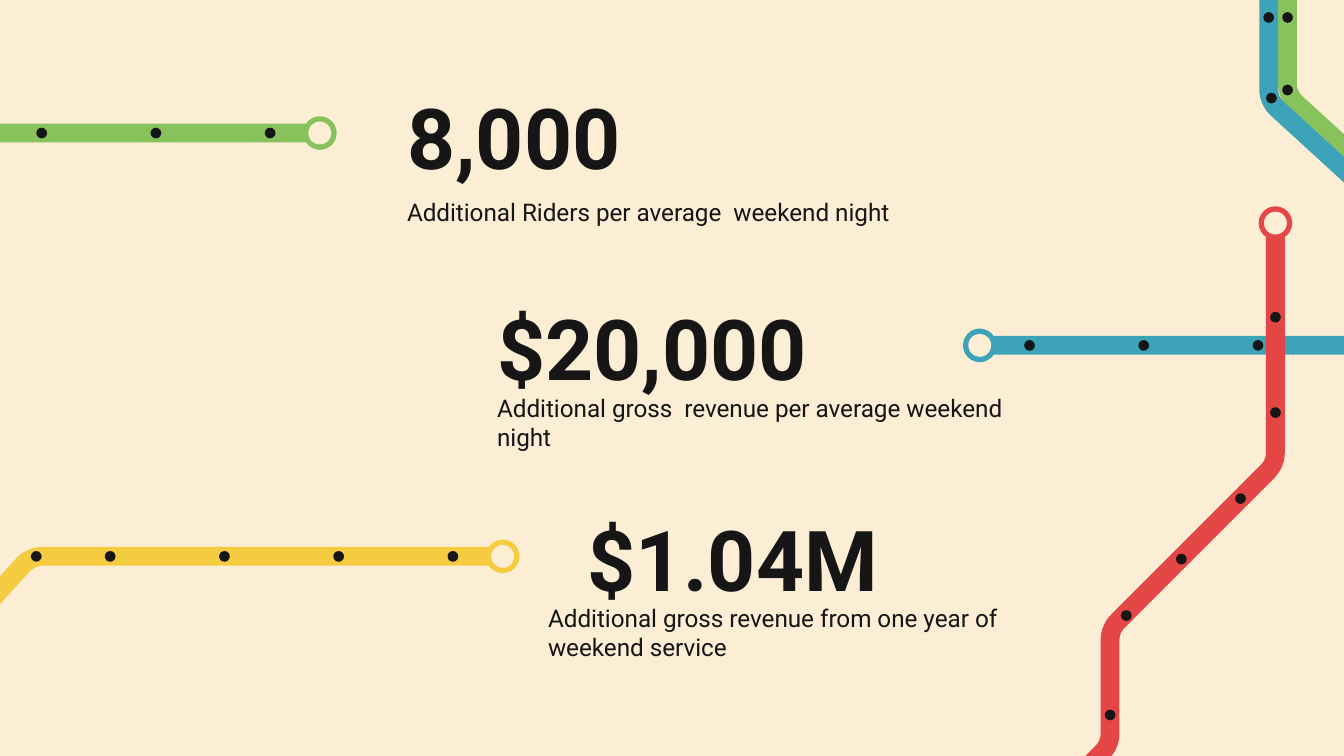
import math
from dataclasses import dataclass

import pptx
import pptx.dml.color
import pptx.enum.shapes
import pptx.enum.text
import pptx.util

Inches = pptx.util.Inches
Point = tuple[float, float]

SLIDE_W = 10
SLIDE_H = SLIDE_W * 9 / 16
CREAM, INK = "FCEDD5", "161616"
GREEN, BLUE, YELLOW, RED = "88C25D", "3CA3B8", "F5CC3F", "E44646"
FONT = "Roboto"
TRACK_W, BEND_R = 0.14, 0.2
DOT, RING, HOLE = 0.08, 0.25, 0.17
STOP_GAP = 0.85


@dataclass
class Track:
    color: str
    route: list[Point]
    stops: list[Point]
    terminus: Point | None = None


@dataclass
class Stat:
    value: str
    value_at: Point
    label: str
    label_at: Point
    label_w: float = 4.29


def rgb(color: str) -> pptx.dml.color.RGBColor:
    return pptx.dml.color.RGBColor.from_string(color)


def paint(sp, color: str) -> None:
    sp.fill.solid()
    sp.fill.fore_color.rgb = rgb(color)
    sp.line.fill.background()
    sp.shadow.inherit = False


def add_disc(shapes, center: Point, size: float, color: str) -> None:
    x, y = center
    sp = shapes.add_shape(pptx.enum.shapes.MSO_SHAPE.OVAL, Inches(x - size / 2),
                          Inches(y - size / 2), Inches(size), Inches(size))
    paint(sp, color)


def track_edges(route: list[Point]) -> tuple[list[Point], list[Point]]:
    """Both edges of a constant-width track with rounded bends."""
    half = TRACK_W / 2
    angles = [math.atan2(y2 - y1, x2 - x1)
              for (x1, y1), (x2, y2) in zip(route, route[1:])]
    samples = [(*route[0], angles[0])]
    for (x, y), a1, a2 in zip(route[1:], angles, angles[1:]):
        # Turn the short way round
        turn = math.remainder(a2 - a1, math.tau)
        side = math.copysign(BEND_R, turn)
        tangent = BEND_R * math.tan(abs(turn) / 2)
        # Centre of the bend
        cx = x - tangent * math.cos(a1) - side * math.sin(a1)
        cy = y - tangent * math.sin(a1) + side * math.cos(a1)
        for step in range(9):
            a = a1 + turn * step / 8
            samples.append((cx + side * math.sin(a), cy - side * math.cos(a), a))
    samples.append((*route[-1], angles[-1]))
    left = [(x + half * math.sin(a), y - half * math.cos(a)) for x, y, a in samples]
    right = [(x - half * math.sin(a), y + half * math.cos(a)) for x, y, a in samples]
    return left, right


def add_track(slide, track: Track) -> None:
    shapes = slide.shapes.add_group_shape().shapes
    left, right = track_edges(track.route)
    outline = [(Inches(x), Inches(y)) for x, y in left + right[::-1]]
    builder = shapes.build_freeform(*outline[0])
    builder.add_line_segments(outline[1:], close=True)
    paint(builder.convert_to_shape(), track.color)
    for stop in track.stops:
        add_disc(shapes, stop, DOT, INK)
    if track.terminus:
        add_disc(shapes, track.terminus, RING, track.color)
        add_disc(shapes, track.terminus, HOLE, CREAM)


def side_route(x: float, y: float, direction: int) -> list[Point]:
    """Level run, diagonal, then a drop; direction is 1 right or -1 left."""
    return [(x, y), (x + 3.5 * direction, y), (x + 5.9 * direction, y + 2.63),
            (x + 5.9 * direction, y + 3.76)]


def even_stops(x: float, y: float, count: int) -> list[Point]:
    return [(x + i * STOP_GAP, y) for i in range(count)]


def set_text(sp, at: Point, w: float, h: float, text: str, size: int, bold: bool) -> None:
    sp.left, sp.top, sp.width, sp.height = map(Inches, (*at, w, h))
    tf = sp.text_frame
    tf.word_wrap = True
    tf.auto_size = pptx.enum.text.MSO_AUTO_SIZE.NONE
    tf.vertical_anchor = pptx.enum.text.MSO_ANCHOR.MIDDLE
    tf.margin_left = tf.margin_right = tf.margin_top = tf.margin_bottom = Inches(0.1)
    p = tf.paragraphs[0]
    p.alignment = pptx.enum.text.PP_ALIGN.LEFT
    r = p.add_run()
    r.text = text
    r.font.name = FONT
    r.font.size = pptx.util.Pt(size)
    r.font.bold = bold
    r.font.color.rgb = rgb(INK)


def add_stat(slide, stat: Stat, title=None) -> None:
    value = title or slide.shapes.add_textbox(0, 0, 0, 0)
    set_text(value, stat.value_at, 4.29, 0.84, stat.value, 45, True)
    label = slide.shapes.add_textbox(0, 0, 0, 0)
    set_text(label, stat.label_at, stat.label_w, 0.45, stat.label, 13, False)


CORNER_TRACKS = [
    Track(GREEN, [(9.58, -2.79), (9.58, 0.71), (12.21, 3.11), (13.34, 3.11)],
          [(9.58, 0.13), (9.58, 0.67)]),
    Track(BLUE, [(9.44, -2.75), (9.44, 0.75), (12.15, 3.23), (13.53, 3.23)],
          [(9.44, 0.13), (9.46, 0.73)]),
]

STATS = [
    Stat("8,000", (2.93, 0.59),
         "Additional Riders per average  weekend night", (2.93, 1.35)),
    Stat("$20,000", (3.6, 2.16),
         "Additional gross  revenue per average weekend night", (3.6, 2.92)),
    Stat("$1.04M", (4.27, 3.73),
         "Additional gross revenue from one year of weekend service", (3.98, 4.48), 4.14),
]

MAIN_TRACKS = [
    Track(GREEN, side_route(2.37, 0.99, -1), even_stops(0.31, 0.99, 3), (2.38, 0.99)),
    Track(BLUE, side_route(7.3, 2.57, 1), even_stops(7.66, 2.57, 3), (7.29, 2.57)),
    Track(YELLOW, side_route(3.73, 4.14, -1),
          [(0.27, 4.14)] + even_stops(0.82, 4.14, 4), (3.74, 4.14)),
    Track(RED, [(9.49, 1.59), (9.49, 3.45), (8.26, 4.68), (8.26, 5.54), (7.17, 6.63)],
          [(9.49, 2.36), (9.49, 3.07), (9.23, 3.71), (8.79, 4.16), (8.38, 4.58),
           (8.26, 5.32)], (9.49, 1.66)),
]


def main() -> None:
    prs = pptx.Presentation()
    prs.slide_width, prs.slide_height = Inches(SLIDE_W), Inches(SLIDE_H)
    slide = prs.slides.add_slide(prs.slide_layouts[5])
    slide.background.fill.solid()
    slide.background.fill.fore_color.rgb = rgb(CREAM)

    # Lines in the top right corner
    for track in CORNER_TRACKS:
        add_track(slide, track)

    # Key figures; the first one is the slide title
    for i, stat in enumerate(STATS):
        add_stat(slide, stat, slide.shapes.title if i == 0 else None)

    # Lines leading to the figures, with the red one on top
    for track in MAIN_TRACKS:
        add_track(slide, track)

    prs.save("out.pptx")


if __name__ == "__main__":
    main()
